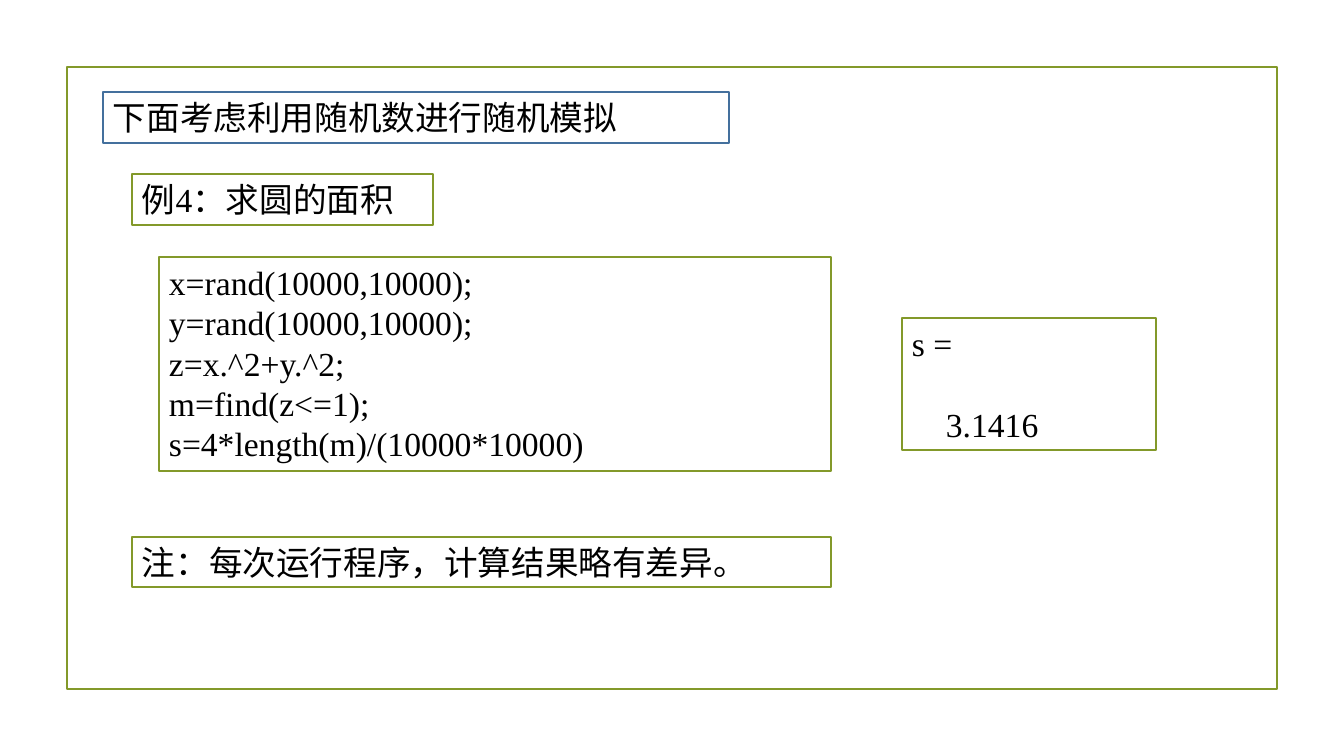
from pptx import Presentation
from pptx import util as u
from pptx.dml.color import RGBColor
from pptx.enum import shapes, text

EMU_PER_PX = 914400 / 100.8
OLIVE = RGBColor(0x83, 0x99, 0x2A)
BLUE = RGBColor(0x44, 0x70, 0x9D)
WHITE = RGBColor(0xFF, 0xFF, 0xFF)
BLACK = RGBColor(0, 0, 0)


def px(length):
    return u.Emu(round(length * EMU_PER_PX))


class SlideBuilder:
    """Holds the text style and the slide being drawn."""

    font_name = "Times New Roman"
    font_size = u.Pt(24)
    line_width = u.Pt(1.25)

    def __init__(self, slide):
        self.slide = slide

    def frame(self, left, top, width, height, color=OLIVE):
        box = self.slide.shapes.add_shape(
            shapes.MSO_SHAPE.RECTANGLE, px(left), px(top), px(width), px(height))
        box.shadow.inherit = False
        box.fill.background()
        box.line.color.rgb = color
        box.line.width = self.line_width
        return box

    def text_box(self, left, top, width, height, lines, color=OLIVE):
        box = self.frame(left, top, width, height, color)
        box.fill.solid()
        box.fill.fore_color.rgb = WHITE
        body = box.text_frame
        body.word_wrap = True
        body.vertical_anchor = text.MSO_ANCHOR.TOP
        for index, line in enumerate(lines):
            para = body.add_paragraph() if index else body.paragraphs[0]
            para.alignment = text.PP_ALIGN.LEFT
            span = para.add_run()
            span.text = line
            span.font.name = self.font_name
            span.font.size = self.font_size
            span.font.color.rgb = BLACK
        return box

    def result_box(self, left, top, width, height, label, value):
        """Shows a value indented one line below its label."""
        box = self.text_box(left, top, width, height, [label, value])
        para = box.text_frame.paragraphs[1]
        para.space_before = u.Pt(28.8)
        properties = para._p.get_or_add_pPr()
        properties.set("marL", str(px(34)))
        properties.set("indent", "0")


def main():
    deck = Presentation()
    deck.slide_width, deck.slide_height = px(1344), px(756)
    page = SlideBuilder(deck.slides.add_slide(deck.slide_layouts[6]))

    page.frame(67, 67, 1210, 622)
    page.text_box(132, 174, 301, 51, ["例4：求圆的面积"])
    page.text_box(159, 257, 672, 214, [
        "x=rand(10000,10000);",
        "y=rand(10000,10000);",
        "z=x.^2+y.^2;",
        "m=find(z<=1);",
        "s=4*length(m)/(10000*10000)",
    ])
    page.result_box(902, 318, 254, 132, "s =", "3.1416")
    page.text_box(132, 537, 699, 50, ["注：每次运行程序，计算结果略有差异。"])
    page.text_box(103, 92, 626, 51, ["下面考虑利用随机数进行随机模拟"], BLUE)
    deck.save("out.pptx")


if __name__ == "__main__":
    main()
